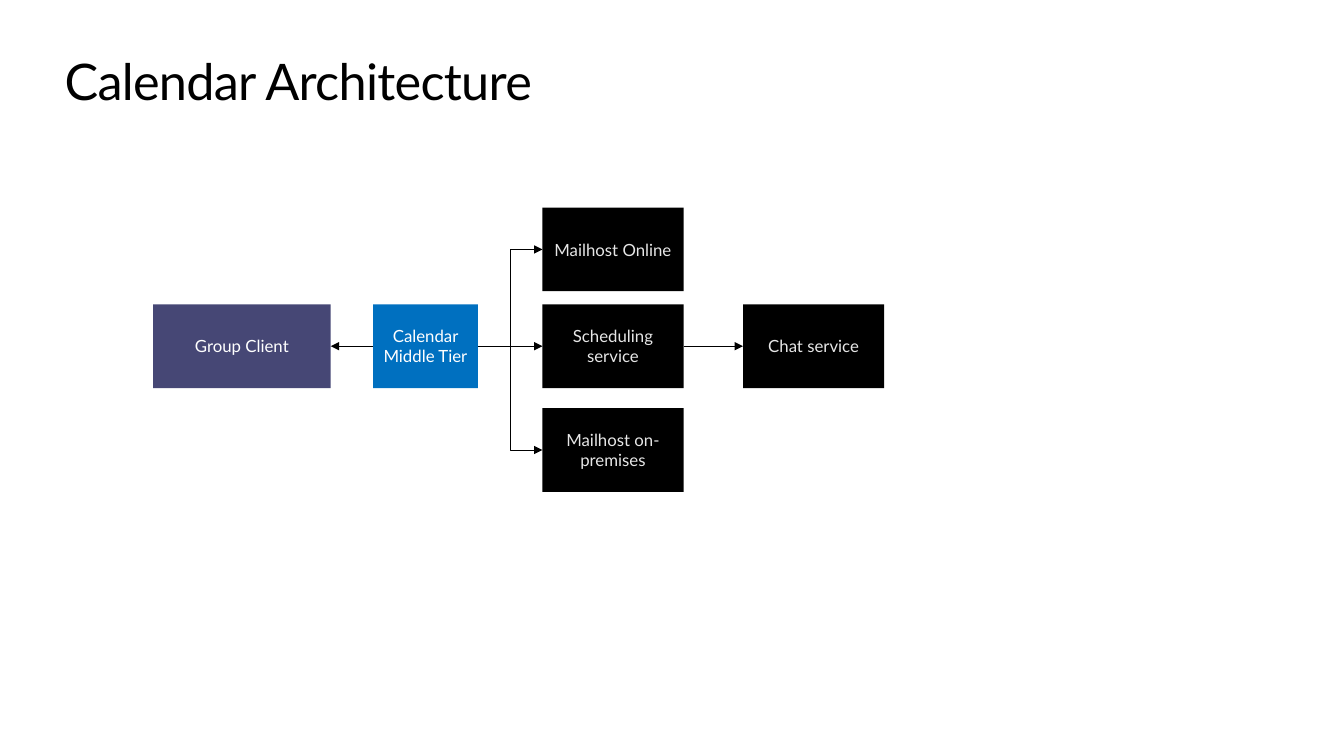
from pptx import Presentation
from pptx import util as u
from pptx.dml.color import RGBColor
from pptx.enum import shapes, text
from pptx.oxml.ns import qn
from lxml import etree

FONT = "Lato"
COLORS = {
    "ink": "000000",
    "client": "464775",
    "tier": "0070C0",
    "light": "E6E6E6",
    "white": "FFFFFF",
}
BOX_H = 0.83
SERVICE_W = 1.4
SERVICE_X = 5.38
ROW_Y = 3.02
RIGHT, LEFT = 3, 1


def rgb(name):
    return RGBColor.from_string(COLORS[name])


def add_run(p, words, size, color):
    r = p.add_run()
    r.text = words
    r.font.name = FONT
    r.font.size = u.Pt(size)
    r.font.color.rgb = rgb(color)
    return r


def add_title(s, words):
    tb = s.shapes.add_textbox(u.Inches(0.64), u.Inches(0.5), u.Inches(12.05), u.Inches(0.61))
    tf = tb.text_frame
    tf.word_wrap = True
    tf.margin_left = tf.margin_right = tf.margin_top = tf.margin_bottom = 0
    r = add_run(tf.paragraphs[0], words, 36, "ink")
    r.font._element.set("spc", "-50")


def add_box(s, words, x, y, w=SERVICE_W, fill="ink", color="light"):
    sp = s.shapes.add_shape(
        shapes.MSO_SHAPE.RECTANGLE, u.Inches(x), u.Inches(y), u.Inches(w), u.Inches(BOX_H)
    )
    sp.shadow.inherit = False
    sp.fill.solid()
    sp.fill.fore_color.rgb = rgb(fill)
    sp.line.fill.background()
    tf = sp.text_frame
    tf.word_wrap = True
    tf.vertical_anchor = text.MSO_ANCHOR.MIDDLE
    p = tf.paragraphs[0]
    p.alignment = text.PP_ALIGN.CENTER
    add_run(p, words, 12, color)
    return sp


def add_arrow(s, start, end, start_side=RIGHT, end_side=LEFT):
    level = start.top == end.top
    kind = shapes.MSO_CONNECTOR.STRAIGHT if level else shapes.MSO_CONNECTOR.ELBOW
    line = s.shapes.add_connector(kind, 0, 0, 0, 0)
    line.begin_connect(start, start_side)
    line.end_connect(end, end_side)
    line.line.color.rgb = rgb("ink")
    line.line.width = u.Pt(0.75)
    etree.SubElement(line.line._get_or_add_ln(), qn("a:tailEnd"), type="triangle")
    etree.SubElement(line._element.spPr, qn("a:effectLst"))


def main():
    prs = Presentation()
    prs.slide_width, prs.slide_height = u.Inches(13.33), u.Inches(7.5)
    s = prs.slides.add_slide(prs.slide_layouts[6])

    add_title(s, "Calendar Architecture")
    client = add_box(s, "Group Client", 1.52, ROW_Y, 1.76, "client", "white")
    tier = add_box(s, "Calendar Middle Tier", 3.7, ROW_Y, 1.04, "tier", "white")
    online = add_box(s, "Mailhost Online", SERVICE_X, 2.06)
    scheduling = add_box(s, "Scheduling service", SERVICE_X, ROW_Y)
    on_premises = add_box(s, "Mailhost on-premises", SERVICE_X, 4.05)
    chat = add_box(s, "Chat service", 7.37, ROW_Y)

    add_arrow(s, tier, client, LEFT, RIGHT)
    for service in (online, scheduling, on_premises):
        add_arrow(s, tier, service)
    add_arrow(s, scheduling, chat)

    prs.save("out.pptx")


if __name__ == "__main__":
    main()
